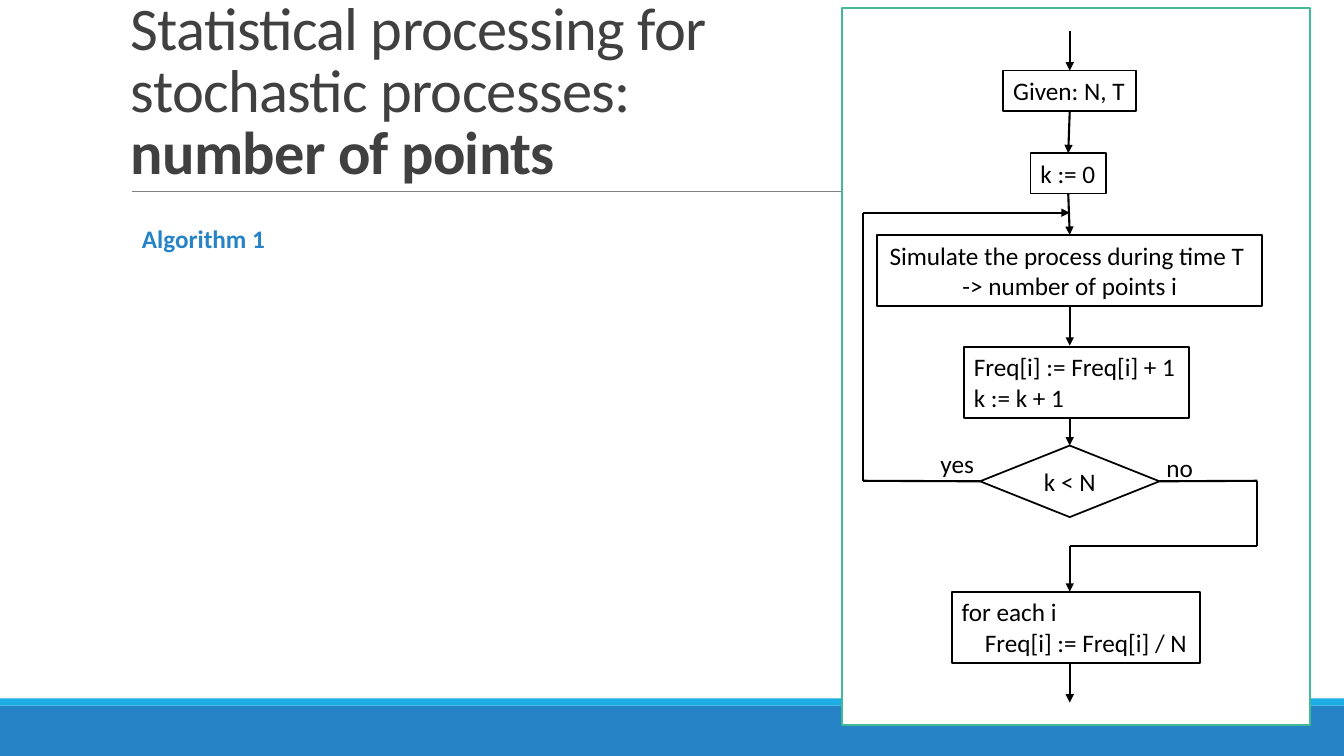
from pptx import Presentation
from pptx.dml.color import RGBColor
from pptx.enum.shapes import MSO_CONNECTOR as Wire, MSO_SHAPE as Form
from pptx.enum.text import MSO_ANCHOR as Anchor, MSO_AUTO_SIZE as Fit, PP_ALIGN as Align
from pptx.oxml.ns import qn
from pptx.util import Inches, Pt
from lxml.etree import SubElement as Sub

BLACK = RGBColor(0, 0, 0)
WHITE = RGBColor(255, 255, 255)
DARK = RGBColor(0x40, 0x40, 0x40)
GRAY = RGBColor(0x80, 0x80, 0x80)
BLUE = RGBColor(0x26, 0x83, 0xC6)
CYAN = RGBColor(0x1C, 0xAD, 0xE4)
GREEN = RGBColor(0x42, 0xBA, 0x97)

deck = Presentation()
deck.slide_width, deck.slide_height = Inches(13.33), Inches(7.5)
slide = deck.slides.add_slide(deck.slide_layouts[6])
shapes = slide.shapes


def draw(form, area, fill, edge=None):
    shape = shapes.add_shape(form, *map(Inches, area))
    shape.shadow.inherit = False
    shape.fill.solid()
    shape.fill.fore_color.rgb = fill
    if edge is None:
        shape.line.fill.background()
    else:
        shape.line.color.rgb = edge
        shape.line.width = Pt(1.25)
    return shape


def write(shape, lines, align=Align.LEFT, color=BLACK, bold=False):
    frame = shape.text_frame
    frame.word_wrap = False
    frame.auto_size = Fit.SHAPE_TO_FIT_TEXT
    frame.vertical_anchor = Anchor.TOP
    for i, line in enumerate(lines):
        para = frame.paragraphs[0] if i == 0 else frame.add_paragraph()
        para.alignment = align
        run = para.add_run()
        run.text = line
        font = run.font
        font.name, font.size, font.bold = "Calibri", Pt(18), bold
        font.color.rgb = color
    return frame


draw(Form.RECTANGLE, (0, 7, 13.33, 0.5), BLUE)
draw(Form.RECTANGLE, (0, 6.93, 13.33, 0.07), CYAN)
rule = shapes.add_connector(Wire.STRAIGHT, Inches(1.31), Inches(1.9), Inches(12.21), Inches(1.9))
rule.line.color.rgb = GRAY
rule.line.width = Pt(0.5)
Sub(rule._element.spPr, qn("a:effectLst"))
draw(Form.RECTANGLE, (8.35, 0.08, 4.64, 7.11), WHITE, GREEN)

title = shapes.add_textbox(Inches(1.2), 0, Inches(6.73), Inches(1.9)).text_frame
title.word_wrap = True
title.vertical_anchor = Anchor.BOTTOM
head = title.paragraphs[0]
head.line_spacing = 0.85
for text, bold in (("Statistical processing for stochastic processes: ", False), ("number of points", True)):
    run = head.add_run()
    run.text = text
    font = run.font
    font.name, font.size, font.bold = "Calibri", Pt(43.2), bold
    font.color.rgb = DARK
    run._r.get_or_add_rPr().set("spc", "-50")

boxes = {}
for name, area, lines, align in (
    ("given", (9.95, 0.7, 1.32, 0.4), ["Given: N, T"], Align.LEFT),
    ("start", (10.22, 1.52, 0.75, 0.4), ["k := 0"], Align.LEFT),
    ("run", (8.7, 2.33, 3.82, 0.71),
     ["Simulate the process during time T ", "-> number of points i"], Align.CENTER),
    ("count", (9.56, 3.44, 2.23, 0.71), ["Freq[i] := Freq[i] + 1", "k := k + 1"], Align.LEFT),
    ("scale", (9.44, 5.87, 2.46, 0.71), ["for each i", "Freq[i] := Freq[i] / N"], Align.LEFT),
):
    boxes[name] = draw(Form.RECTANGLE, area, WHITE, BLACK)
    write(boxes[name], lines, align)
inner = boxes["scale"].text_frame.paragraphs[1]
inner._p.get_or_add_pPr().set("marL", str(Inches(0.23)))

test = boxes["test"] = draw(Form.DIAMOND, (9.72, 4.42, 1.78, 0.71), WHITE, BLACK)
frame = write(test, ["k < N"], Align.CENTER)
frame.auto_size = Fit.NONE
frame.word_wrap = True
frame.vertical_anchor = Anchor.MIDDLE

MID, LEFT, RIGHT = 10.61, 8.56, 12.47
for x1, y1, x2, y2, arrow, tail, tip in (
    (9.72, 4.77, LEFT, 4.77, False, ("test", 1), None),
    (LEFT, 2.11, LEFT, 4.77, False, None, None),
    (RIGHT, 4.77, 11.5, 4.77, False, None, ("test", 3)),
    (RIGHT, 4.77, RIGHT, 5.42, False, None, None),
    (RIGHT, 5.42, MID, 5.42, False, None, None),
    (LEFT, 2.11, MID, 2.11, True, None, None),
    (MID, 0.31, MID, 0.7, True, None, ("given", 0)),
    (MID, 1.1, MID, 1.52, True, ("given", 2), ("start", 0)),
    (MID, 1.92, MID, 2.33, True, ("start", 2), ("run", 0)),
    (MID, 3.04, MID, 3.43, True, ("run", 2), None),
    (MID, 4.16, MID, 4.42, True, None, ("test", 0)),
    (MID, 5.42, MID, 5.87, True, None, None),
    (MID, 6.58, MID, 6.97, True, None, None),
):
    link = shapes.add_connector(Wire.STRAIGHT, *map(Inches, (x1, y1, x2, y2)))
    link.line.color.rgb = BLACK
    link.line.width = Pt(1.5)
    if arrow:
        Sub(link.line._get_or_add_ln(), qn("a:tailEnd"), type="triangle")
    Sub(link._element.spPr, qn("a:effectLst"))
    if tail:
        link.begin_connect(boxes[tail[0]], tail[1])
    if tip:
        link.end_connect(boxes[tip[0]], tip[1])

for text, area, color, bold in (
    ("Algorithm 1", (1.31, 2.17, 1.43, 0.4), BLUE, True),
    ("yes", (9.23, 4.4, 0.54, 0.4), BLACK, False),
    ("no", (11.47, 4.44, 0.47, 0.4), BLACK, False),
):
    write(shapes.add_textbox(*map(Inches, area)), [text], color=color, bold=bold)

deck.save("out.pptx")
